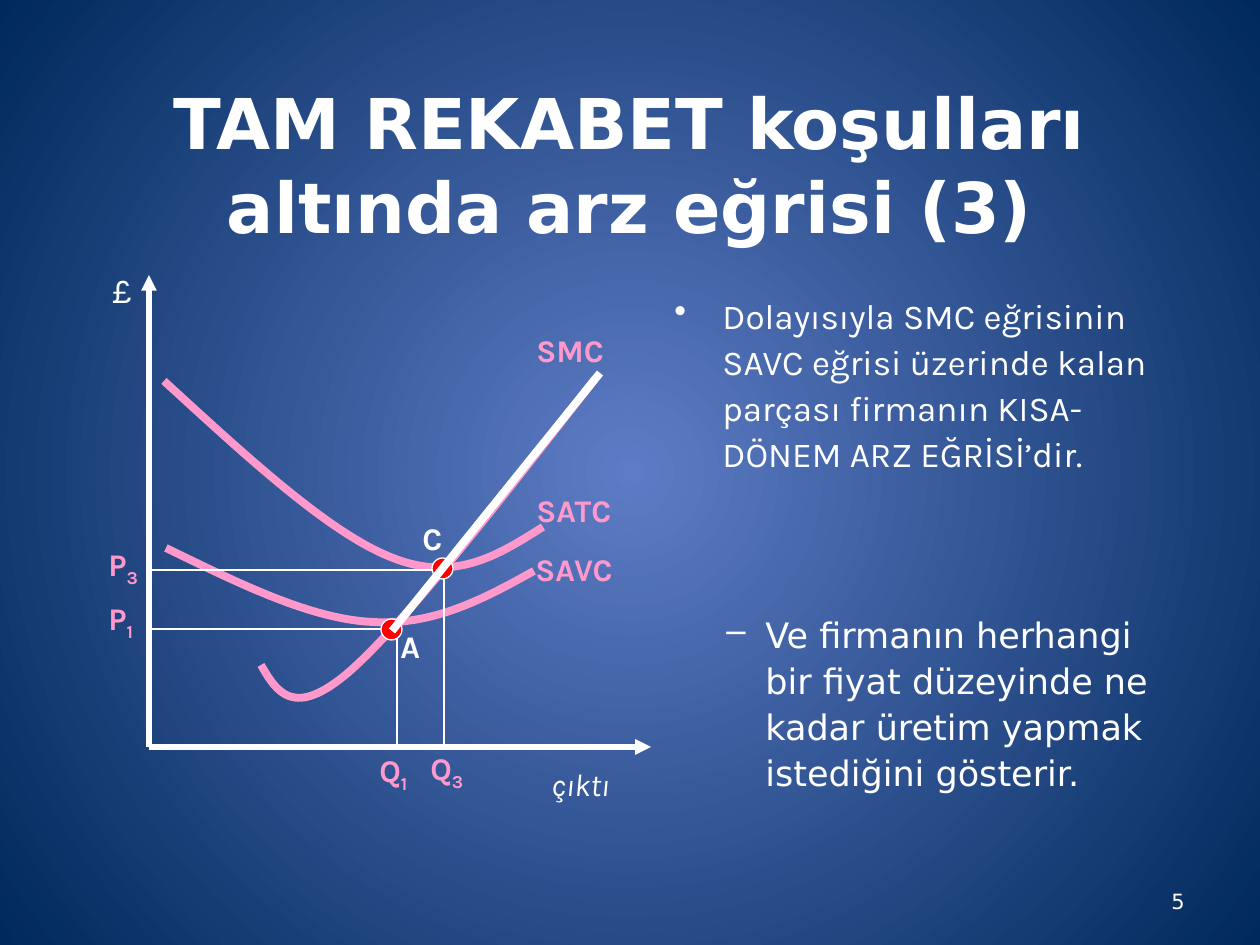
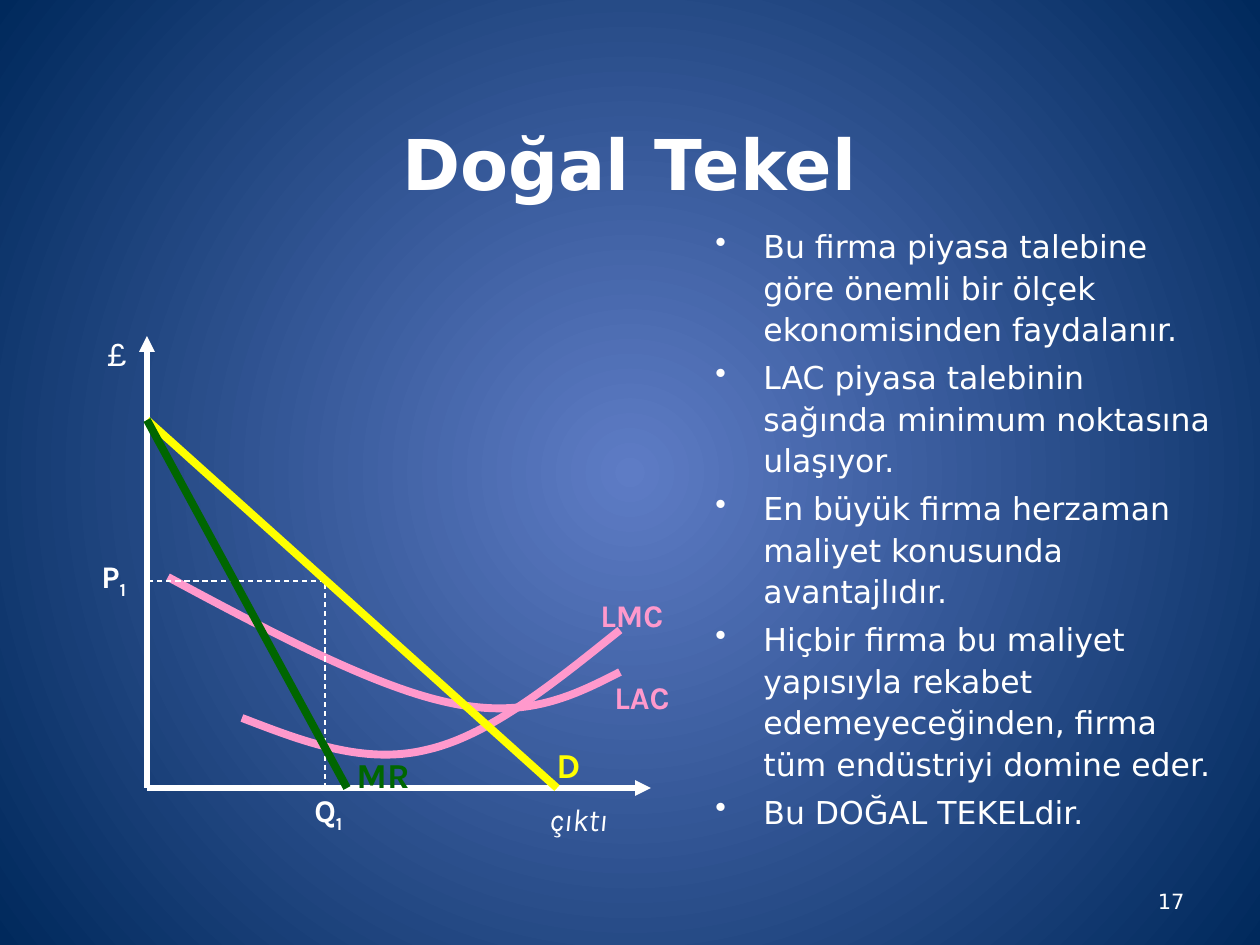
from lxml import etree
from pptx import Presentation
from pptx.dml.color import RGBColor
from pptx.enum.dml import MSO_LINE
from pptx.enum.shapes import MSO_CONNECTOR, MSO_SHAPE
from pptx.enum.text import MSO_ANCHOR, MSO_AUTO_SIZE, PP_ALIGN
from pptx.oxml.ns import qn
from pptx.util import Pt

EMU_PER_PX = 914400 / 126
WHITE, PINK, RED = "FFFFFF", "FF99CC", "FF0000"
YELLOW, GREEN = "FFFF00", "006600"
GLOW, NAVY = "5E7CC5", "00295C"
TEXT_FONT, CHART_FONT = "DejaVu Sans", "Karla"
THIN, AXIS, THICK = 0.75, 3, 4.5
BULLET = ("\u2022", 48, 48)   # character, left margin, hanging indent
DASH = ("\u2013", 102, 39)


def px(length):
    """Turn pixels into EMU."""
    return round(length * EMU_PER_PX)


def rgb(code):
    """Turn a hex string into a colour."""
    return RGBColor.from_string(code)


def paint_background(master):
    """Give every slide the radial blue glow."""
    fill = master.background.fill
    fill.gradient()
    for stop, color, position in zip(fill.gradient_stops, (GLOW, NAVY), (0, 1)):
        stop.color.rgb = rgb(color)
        stop.position = position
    gradient = master._element.find(".//" + qn("a:gradFill"))
    gradient.remove(gradient.find(qn("a:lin")))
    path = etree.SubElement(gradient, qn("a:path"), path="circle")
    etree.SubElement(path, qn("a:fillToRect"),
                     l="50000", t="50000", r="50000", b="50000")


def style(run, size, color=WHITE, font=TEXT_FONT, bold=False, italic=False):
    """Set the look of one run."""
    run.font.size = Pt(size)
    run.font.color.rgb = rgb(color)
    run.font.name = font
    run.font.bold = bold
    run.font.italic = italic


def text_frame(slide, x, y, width, height, wrap=True):
    """Add a text box and return its frame."""
    frame = slide.shapes.add_textbox(px(x), px(y), px(width), px(height)).text_frame
    frame.word_wrap = wrap
    return frame


def add_line_of_text(slide, text, box, size, align, bold=False):
    """Add a vertically centred text, such as a title or page number."""
    frame = text_frame(slide, *box)
    frame.vertical_anchor = MSO_ANCHOR.MIDDLE
    frame.text = text
    frame.paragraphs[0].alignment = align
    style(frame.paragraphs[0].runs[0], size, bold=bold)


def add_bullets(slide, items, box, size, font=TEXT_FONT, marker=BULLET):
    """Add a list with hanging bullets."""
    frame = text_frame(slide, *box)
    frame.text = "\n".join(items)
    character, margin, hanging = marker
    for paragraph in frame.paragraphs:
        paragraph.line_spacing = 1.1
        paragraph.space_before = Pt(size * 0.2)
        properties = paragraph._p.get_or_add_pPr()
        properties.set("marL", str(px(margin)))
        properties.set("indent", str(-px(hanging)))
        etree.SubElement(properties, qn("a:buChar"), char=character)
        style(paragraph.runs[0], size, font=font)


def add_label(slide, text, x, y, width, color=WHITE, size=18, subscript="",
              bold=True, italic=False):
    """Add a chart label, with a subscript if given."""
    frame = text_frame(slide, x, y, width, 50 if size == 18 else 54, wrap=False)
    frame.auto_size = MSO_AUTO_SIZE.SHAPE_TO_FIT_TEXT
    frame.text = text
    paragraph = frame.paragraphs[0]
    if subscript:
        lowered = paragraph.add_run()
        lowered.text = subscript
        lowered._r.get_or_add_rPr().set("baseline", "-25000")
    for run in paragraph.runs:
        style(run, size, color, CHART_FONT, bold, italic)


def add_line(slide, start, end, width=THIN, color=WHITE, dashed=False, arrow=False):
    """Draw a straight line between two points."""
    line = slide.shapes.add_connector(
        MSO_CONNECTOR.STRAIGHT, *(px(value) for value in (*start, *end)))
    line.line.color.rgb = rgb(color)
    line.line.width = Pt(width)
    if dashed:
        line.line.dash_style = MSO_LINE.DASH
    if arrow:
        etree.SubElement(line.line._get_or_add_ln(), qn("a:tailEnd"), type="triangle")
    etree.SubElement(line._element.spPr, qn("a:effectLst"))


def add_curve(slide, points, color=PINK):
    """Draw Bezier arcs: a start, then two controls and an end for each arc."""
    start, *rest = points
    builder = slide.shapes.build_freeform(*start, scale=EMU_PER_PX)
    builder.add_line_segments(rest, close=False)
    curve = builder.convert_to_shape()
    curve.shadow.inherit = False
    curve.fill.background()
    curve.line.color.rgb = rgb(color)
    curve.line.width = Pt(THICK)
    outline = curve._element.find(".//" + qn("a:path"))
    segments = outline.findall(qn("a:lnTo"))
    for first in range(0, len(segments), 3):
        arc = etree.SubElement(outline, qn("a:cubicBezTo"))
        for segment in segments[first:first + 3]:
            arc.append(segment[0])
            outline.remove(segment)


def add_dot(slide, x, y):
    """Mark an intersection with a red dot."""
    dot = slide.shapes.add_shape(MSO_SHAPE.OVAL, px(x), px(y), px(21), px(21))
    dot.shadow.inherit = False
    dot.fill.solid()
    dot.fill.fore_color.rgb = rgb(RED)
    dot.line.color.rgb = rgb(WHITE)
    dot.line.width = Pt(THIN)


def add_axes(slide, origin, right, top, pound_at, output_at):
    """Draw both axes with their captions."""
    add_line(slide, origin, (right, origin[1]), AXIS, arrow=True)
    add_line(slide, origin, (origin[0], top), AXIS, arrow=True)
    add_label(slide, "£", *pound_at, 45, size=20, bold=False)
    add_label(slide, "çıktı", *output_at, 83, bold=False, italic=True)


def start_slide(deck, title, number):
    """Add a blank slide with its title and page number."""
    slide = deck.slides.add_slide(deck.slide_layouts[6])
    add_line_of_text(slide, title, (94, 84, 1071, 158), 40, PP_ALIGN.CENTER, bold=True)
    add_line_of_text(slide, str(number), (903, 876, 294, 50), 12, PP_ALIGN.RIGHT)
    return slide


def build_supply_slide(deck):
    """Short-run supply curve under perfect competition."""
    slide = start_slide(deck, "TAM REKABET koşulları altında arz eğrisi (3)", 5)
    left, base = 149, 747
    add_bullets(slide, ["Ve firmanın herhangi bir fiyat düzeyinde ne kadar üretim "
                        "yapmak istediğini gösterir."],
                (651, 603, 525, 246), 20, marker=DASH)
    add_axes(slide, (left, base), 651, 275, (100, 262), (539, 759))

    satc = [(164, 381), (247, 457), (330, 534), (393, 558),
            (456, 583), (500, 554), (543, 527)]
    savc = [(166, 548), (238, 583), (310, 619), (372, 622),
            (433, 626), (484, 599), (534, 571)]
    smc = [(261, 665), (277, 693), (294, 719), (349, 672),
           (404, 624), (500, 501), (595, 379)]
    for curve in (satc, savc, smc):
        add_curve(slide, curve)
    for name, x, y, width in (("SAVC", 523, 544, 113), ("SMC", 524, 325, 96),
                              ("SATC", 524, 485, 111)):
        add_label(slide, name, x, y, width, PINK)
    for name, index, x, y, width in (("P", "1", 96, 593, 58), ("P", "3", 96, 539, 58),
                                     ("Q", "1", 367, 745, 62), ("Q", "3", 418, 743, 62)):
        add_label(slide, name, x, y, width, PINK, subscript=index)

    add_line(slide, (397, 621), (397, base))
    add_line(slide, (444, 570), (444, base))
    add_line(slide, (391, 629), (left, 629))
    add_line(slide, (444, 570), (left, 570))
    add_dot(slide, 432, 558)
    add_dot(slide, 381, 619)
    add_label(slide, "A", 388, 621, 48)
    add_label(slide, "C", 410, 513, 48)
    add_line(slide, (600, 373), (392, 631), THICK)
    add_bullets(slide, ["Dolayısıyla SMC eğrisinin SAVC eğrisi üzerinde kalan parçası "
                        "firmanın KISA-DÖNEM ARZ EĞRİSİ’dir."],
                (662, 284, 525, 567), 20, CHART_FONT)


def build_monopoly_slide(deck):
    """Natural monopoly with long-run costs and demand."""
    slide = start_slide(deck, "Doğal Tekel", 17)
    left, base = 147, 788
    add_bullets(slide, [
        "Bu firma piyasa talebine göre önemli bir ölçek ekonomisinden faydalanır.",
        "LAC piyasa talebinin sağında minimum noktasına ulaşıyor.",
        "En büyük firma herzaman maliyet konusunda avantajlıdır.",
        "Hiçbir firma bu maliyet yapısıyla rekabet edemeyeceğinden, firma tüm "
        "endüstriyi domine eder.",
        "Bu DOĞAL TEKELdir.",
    ], (703, 217, 525, 673), 18)
    add_axes(slide, (left, base), 651, 336, (95, 325), (537, 794))

    lac = [(168, 577), (272, 633), (377, 688), (451, 703),
           (527, 719), (573, 696), (620, 672)]
    lmc = [(242, 718), (302, 741), (363, 765), (426, 750),
           (489, 736), (554, 683), (620, 630)]
    add_curve(slide, lac)
    add_curve(slide, lmc)
    add_label(slide, "LMC", 588, 590, 93, PINK)
    add_label(slide, "LAC", 602, 672, 91, PINK)
    add_label(slide, "D", 544, 737, 52, YELLOW, 20)
    add_label(slide, "MR", 344, 747, 79, GREEN, 20)

    add_line(slide, (325, base), (325, 577), dashed=True)
    add_line(slide, (325, 581), (left, 581), dashed=True)
    add_label(slide, "P", 89, 551, 58, subscript="1")
    add_label(slide, "Q", 302, 785, 62, subscript="1")
    for foot, color in ((557, YELLOW), (347, GREEN)):
        add_line(slide, (left, 420), (foot, base), THICK, color)


def main():
    """Build and save the deck."""
    deck = Presentation()
    deck.slide_width, deck.slide_height = px(1260), px(945)
    paint_background(deck.slide_master)
    build_supply_slide(deck)
    build_monopoly_slide(deck)
    deck.save("out.pptx")


main()
